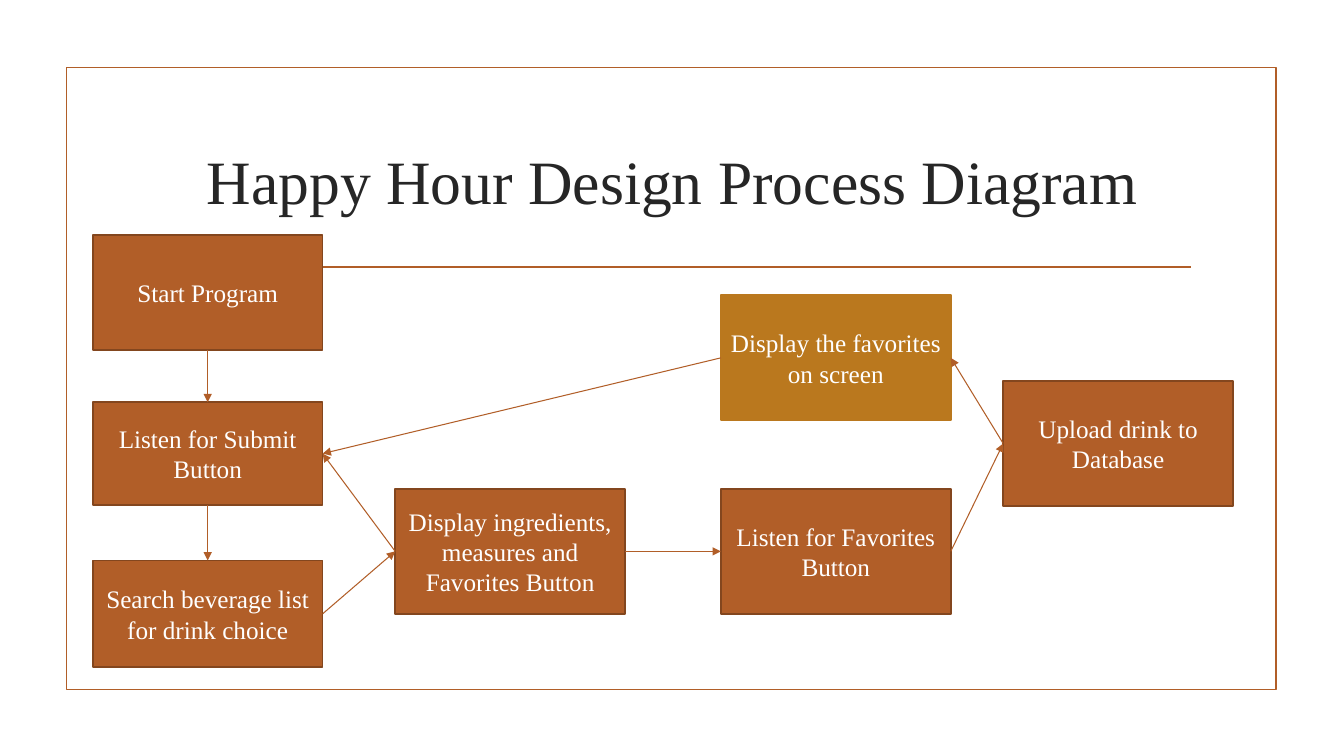
from dataclasses import dataclass

from lxml import etree
from pptx import Presentation
from pptx import util as u
from pptx.dml.color import RGBColor
from pptx.enum import shapes, text
from pptx.oxml.ns import qn


@dataclass(frozen=True)
class Theme:
    font: str = "Times New Roman"
    rust: str = "B15E28"
    rust_dark: str = "83461E"
    gold: str = "BA781E"
    ink: str = "262626"
    white: str = "FFFFFF"
    title_size: int = 44
    box_size: int = 18
    outline: float = 1.25
    arrow: float = 0.75


theme = Theme()

# Grid in inches: four columns of equal boxes, each with its own row top
COLUMNS = [0.92, 3.92, 7.15, 9.95]
BOX_WIDTH = 2.28
BOX_HEIGHT = 1.24
TOP, LEFT, BOTTOM, RIGHT = range(4)  # connection sites of a rectangle

presentation = Presentation()
presentation.slide_width = u.Inches(13.33)
presentation.slide_height = u.Inches(7.5)
slide = presentation.slides.add_slide(presentation.slide_layouts[5])


def style_text(frame, size, color):
    frame.word_wrap = True
    frame.auto_size = text.MSO_AUTO_SIZE.NONE
    frame.vertical_anchor = text.MSO_ANCHOR.MIDDLE
    paragraph = frame.paragraphs[0]
    paragraph.alignment = text.PP_ALIGN.CENTER
    font = paragraph.runs[0].font
    font.name = theme.font
    font.size = u.Pt(size)
    font.color.rgb = RGBColor.from_string(color)


def add_line(start, end, width):
    line = slide.shapes.add_connector(
        shapes.MSO_CONNECTOR.STRAIGHT, *(u.Inches(v) for v in start + end))
    line.line.color.rgb = RGBColor.from_string(theme.rust)
    line.line.width = u.Pt(width)
    etree.SubElement(line._element.spPr, qn("a:effectLst"))
    return line


# Title
title = slide.shapes.title
title.left, title.top = u.Inches(1.42), u.Inches(1.07)
title.width, title.height = u.Inches(10.5), u.Inches(1.43)
title.text_frame.text = "Happy Hour Design Process Diagram"
style_text(title.text_frame, theme.title_size, theme.ink)

# Frame and rule under the title
frame = slide.shapes.add_shape(
    shapes.MSO_SHAPE.RECTANGLE,
    u.Inches(0.66), u.Inches(0.67), u.Inches(12), u.Inches(6.17))
frame.shadow.inherit = False
frame.fill.background()
frame.line.color.rgb = RGBColor.from_string(theme.rust)
frame.line.width = u.Pt(theme.outline)
add_line((1.53, 2.65), (11.81, 2.65), theme.outline)

# Process steps: name, column, top, height, fill, outline, wording
rust = (theme.rust, theme.rust_dark)
gold = (theme.gold, theme.gold)
steps = [
    ("start", 0, 2.33, 1.14, rust, "Start Program"),
    ("submit", 0, 3.99, 1.02, rust, "Listen for Submit Button"),
    ("search", 0, 5.56, 1.06, rust, "Search beverage list for drink choice"),
    ("ingredients", 1, 4.85, BOX_HEIGHT, rust,
     "Display ingredients, measures and Favorites Button"),
    ("favorites", 2, 4.85, BOX_HEIGHT, rust, "Listen for Favorites Button"),
    ("upload", 3, 3.78, BOX_HEIGHT, rust, "Upload drink to Database"),
    ("display", 2, 2.93, BOX_HEIGHT, gold, "Display the favorites on screen"),
]
boxes = {}
for name, column, top, height, (fill, outline), wording in steps:
    box = slide.shapes.add_shape(
        shapes.MSO_SHAPE.RECTANGLE, u.Inches(COLUMNS[column]), u.Inches(top),
        u.Inches(BOX_WIDTH), u.Inches(height))
    box.shadow.inherit = False
    box.fill.solid()
    box.fill.fore_color.rgb = RGBColor.from_string(fill)
    box.line.color.rgb = RGBColor.from_string(outline)
    box.line.width = u.Pt(theme.outline)
    box.text_frame.text = wording
    style_text(box.text_frame, theme.box_size, theme.white)
    boxes[name] = box

# Arrows glued to the steps
flows = [
    ("start", BOTTOM, "submit", TOP),
    ("submit", BOTTOM, "search", TOP),
    ("search", RIGHT, "ingredients", LEFT),
    ("ingredients", LEFT, "submit", RIGHT),
    ("ingredients", RIGHT, "favorites", LEFT),
    ("favorites", RIGHT, "upload", LEFT),
    ("upload", LEFT, "display", RIGHT),
    ("display", LEFT, "submit", RIGHT),
]
for source, source_site, target, target_site in flows:
    arrow = add_line((0, 0), (1, 1), theme.arrow)
    arrow.begin_connect(boxes[source], source_site)
    arrow.end_connect(boxes[target], target_site)
    etree.SubElement(arrow.line._get_or_add_ln(), qn("a:tailEnd"), type="triangle")

presentation.save("out.pptx")
